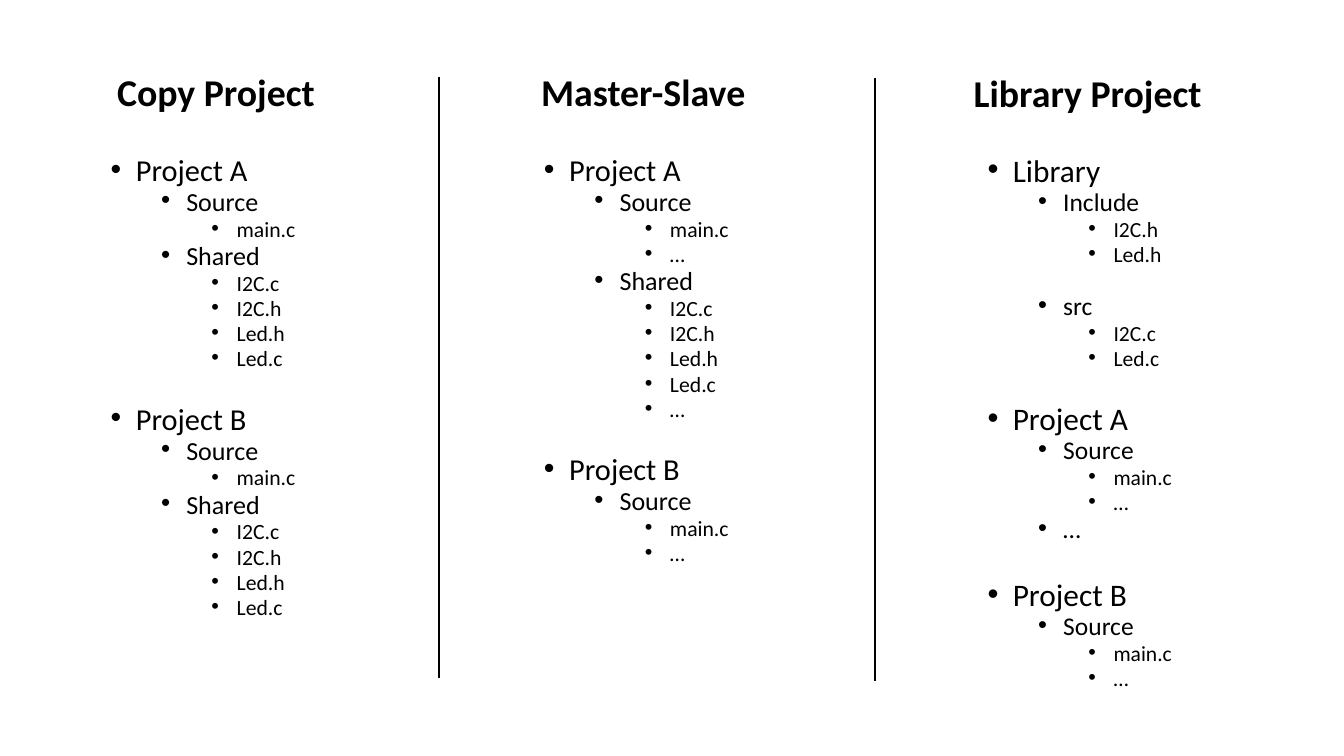
from dataclasses import dataclass, replace

from lxml import etree
from pptx import Presentation
from pptx.dml.color import RGBColor
from pptx.enum.shapes import MSO_CONNECTOR
from pptx.enum.text import MSO_ANCHOR
from pptx.oxml.ns import qn
from pptx.util import Cm, Pt

STRAIGHT = MSO_CONNECTOR.STRAIGHT
TOP, MIDDLE = MSO_ANCHOR.TOP, MSO_ANCHOR.MIDDLE

COLOURS = {"ink": "000000", "paper": "FFFFFF"}
FONT = "Calibri"
TITLE_SIZE = 27
LINE_SPACING = 0.7
LINE_HEIGHT = 1.22 * LINE_SPACING  # height of a line per point of text
SPACE_BEFORE = (10, 5, 5)
INDENT_STEP, HANGING = 1.27, 0.635
COLUMN_WIDTH = 8.53
TITLE_HEIGHT = 2.16
TREE_TOP = 3.94


@dataclass(frozen=True)
class Entry:
    """A line of a file tree; gap_level is the level whose line height is left free above."""
    text: str
    level: int
    gap_level: int | None = None


@dataclass(frozen=True)
class Column:
    """A way of sharing code, with its title and file tree, in centimetres."""
    title: str
    title_left: float
    title_top: float
    tree_left: float
    tree_width: float
    tree_height: float
    sizes: tuple[float, float, float]
    entries: list[Entry]


@dataclass(frozen=True)
class Divider:
    """A vertical line between two columns, in centimetres."""
    x: float
    top: float
    bottom: float


def folder(name: str, *files: str) -> list[Entry]:
    """Return a folder followed by its files."""
    return [Entry(name, 1)] + [Entry(file, 2) for file in files]


def project(name: str, *folders: list[Entry], gap_level: int | None = None) -> list[Entry]:
    """Return a project followed by its folders."""
    return [Entry(name, 0, gap_level)] + [entry for group in folders for entry in group]


def spaced(entries: list[Entry], gap_level: int) -> list[Entry]:
    """Leave a free line above the first entry."""
    return [replace(entries[0], gap_level=gap_level)] + entries[1:]


def add_box(page, left: float, top: float, width: float, height: float, anchor):
    """Add a wrapping text box and return its text frame."""
    box = page.shapes.add_textbox(Cm(left), Cm(top), Cm(width), Cm(height))
    frame = box.text_frame
    frame.word_wrap = True
    frame.vertical_anchor = anchor
    return frame


def add_span(para, text: str, size: float, bold: bool = False) -> None:
    """Add one run of text to a paragraph."""
    para.line_spacing = LINE_SPACING
    span = para.add_run()
    span.text = text
    span.font.name = FONT
    span.font.size = Pt(size)
    span.font.bold = bold
    span.font.color.rgb = RGBColor.from_string(COLOURS["ink"])


def add_bullet(para, level: int) -> None:
    """Give a paragraph a round bullet and the hanging indent of its level."""
    para.level = level
    properties = para._p.get_or_add_pPr()
    properties.set("marL", str(Cm(HANGING + level * INDENT_STEP)))
    properties.set("indent", str(Cm(-HANGING)))
    etree.SubElement(properties, qn("a:buFont"), typeface="Arial")
    etree.SubElement(properties, qn("a:buChar"), char="•")


def draw_column(page, column: Column) -> None:
    """Draw the title and the file tree of a column."""
    title = add_box(page, column.title_left, column.title_top, COLUMN_WIDTH, TITLE_HEIGHT, MIDDLE)
    add_span(title.paragraphs[0], column.title, TITLE_SIZE, bold=True)

    tree = add_box(page, column.tree_left, TREE_TOP, column.tree_width, column.tree_height, TOP)
    for index, entry in enumerate(column.entries):
        para = tree.add_paragraph() if index else tree.paragraphs[0]
        space = SPACE_BEFORE[entry.level]
        if entry.gap_level is not None:
            space += LINE_HEIGHT * column.sizes[entry.gap_level] + SPACE_BEFORE[entry.gap_level]
        para.space_before = Pt(space)
        add_span(para, entry.text, column.sizes[entry.level])
        add_bullet(para, entry.level)


def draw_divider(page, divider: Divider) -> None:
    """Draw a vertical divider without shadow."""
    line = page.shapes.add_connector(
        STRAIGHT, Cm(divider.x), Cm(divider.top), Cm(divider.x), Cm(divider.bottom))
    line.line.color.rgb = RGBColor.from_string(COLOURS["ink"])
    line.line.width = Pt(1.5)
    etree.SubElement(line._element.spPr, qn("a:effectLst"))


DRIVERS = ("I2C.c", "I2C.h", "Led.h", "Led.c")
COPY_FOLDERS = (folder("Source", "main.c"), folder("Shared", *DRIVERS))
SOURCE = folder("Source", "main.c", "…")
WIDE_SIZES = (21.7, 18.6, 15.5)

COLUMNS = (
    Column("Copy Project", 2.7, 1.37, 2.54, COLUMN_WIDTH, 12.09, WIDE_SIZES,
           project("Project A", *COPY_FOLDERS)
           + project("Project B", *COPY_FOLDERS, gap_level=2)),
    Column("Master-Slave", 13.39, 1.37, 13.46, COLUMN_WIDTH, 10.69, WIDE_SIZES,
           project("Project A", SOURCE, folder("Shared", *DRIVERS, "…"))
           + project("Project B", SOURCE, gap_level=2)),
    Column("Library Project", 24.29, 1.4, 24.64, 8.03, 13.51, (22.4, 18.2, 15.4),
           project("Library", folder("Include", "I2C.h", "Led.h"),
                   spaced(folder("src", "I2C.c", "Led.c"), gap_level=2))
           + project("Project A", SOURCE, folder("…"), gap_level=2)
           + project("Project B", SOURCE, gap_level=1)),
)
DIVIDERS = (Divider(11.07, 1.93, 17.09), Divider(22.05, 1.96, 17.15))


def main() -> None:
    """Build the slide and save the deck."""
    deck = Presentation()
    deck.slide_width, deck.slide_height = Cm(33.87), Cm(19.05)
    page = deck.slides.add_slide(deck.slide_layouts[6])
    page.background.fill.solid()
    page.background.fill.fore_color.rgb = RGBColor.from_string(COLOURS["paper"])
    for column in COLUMNS:
        draw_column(page, column)
    for divider in DIVIDERS:
        draw_divider(page, divider)
    deck.save("out.pptx")


main()
